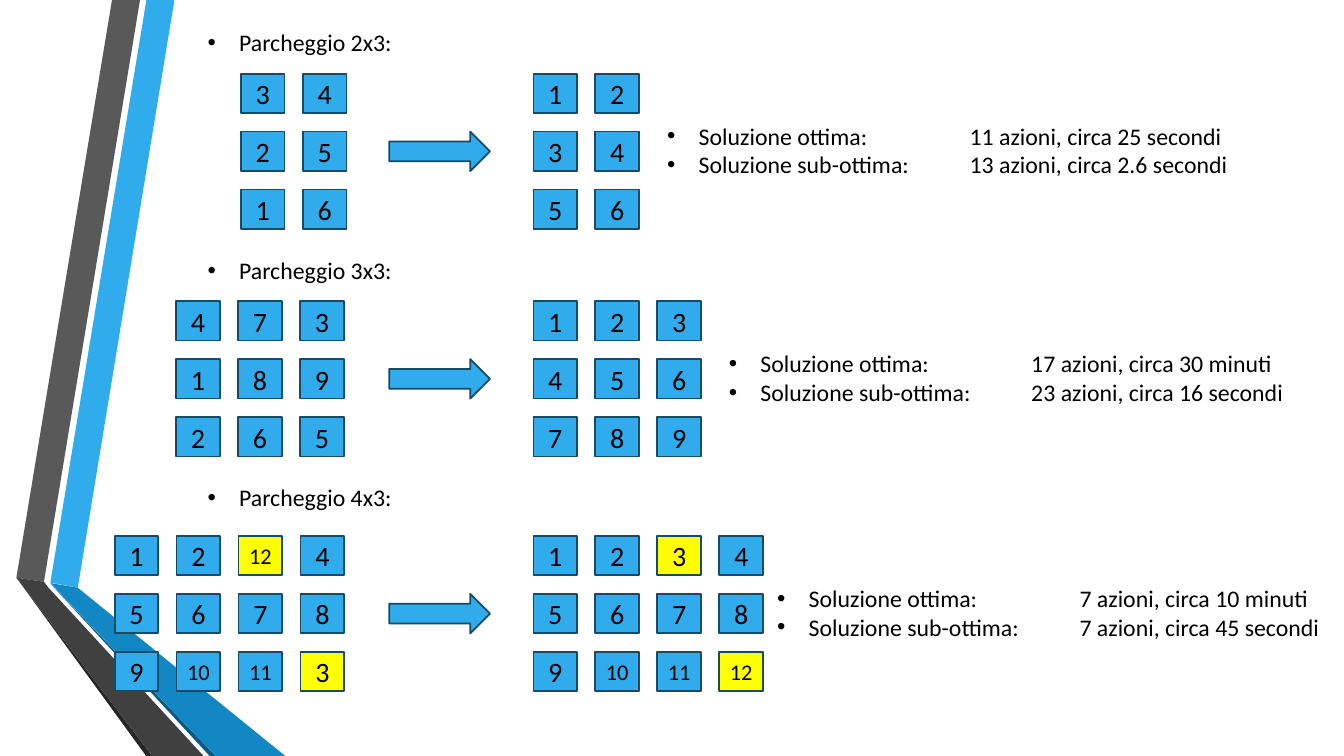
from dataclasses import dataclass

from lxml.etree import SubElement
from pptx import Presentation
from pptx.dml.color import RGBColor
from pptx.enum.shapes import MSO_SHAPE as Shp
from pptx.enum.text import MSO_ANCHOR as Anchor, MSO_AUTO_SIZE as AutoSize, PP_ALIGN as Align
from pptx.oxml.ns import qn
from pptx.shapes.autoshape import Shape
from pptx.slide import Slide
from pptx.text.text import TextFrame
from pptx.util import Pt

COLORS = {
    "blue": "30ACEC", "outline": "154B67", "yellow": "FFFF00", "text": "000000",
    "gray": "595959", "dark": "262626", "navy": "0C5A82", "deep": "1287C3",
    "charcoal": "404040",
}
FONT = "Calibri"
SLIDE_W, SLIDE_H = 960, 540
CELL_W, CELL_H = 31.2, 28.2
STEP_X, STEP_Y = 44.25, 41.4
GOAL_X, ARROW_X, ARROW_W = 381, 278, 72
HEADING_X, HEADING_W, HEADING_H = 141.2, 643, 28
LIST_W, LIST_H, LIST_DROP = 467, 48.3, 30.5
INDENT, TAB = 22.5, 216


@dataclass
class Band:
    color: str
    points: list[tuple[float, float]]


@dataclass
class Parking:
    heading: str
    heading_y: float
    top: float
    start_x: float
    start: list[list[int]]
    goal: list[list[int]]
    list_x: float
    solutions: list[str]
    swapped: tuple[int, ...] = ()


BANDS = [
    Band("blue", [(36, 416.2), (55.6, 419.8), (124.6, 0), (104.6, 0)]),
    Band("gray", [(100, 0), (80, 0), (11.7, 412.6), (31.4, 415.6)]),
    Band("dark", [(11.7, 412.6), (104.4, 540), (108.7, 540)]),
    Band("navy", [(36, 416.9), (149.8, 540), (154.1, 540)]),
    Band("deep", [(36, 416.5), (154.1, 540), (203.8, 540), (55.6, 419.8)]),
    Band("charcoal", [(145.4, 540), (34.6, 419.8), (31.4, 415.6), (11.7, 412.6), (108.7, 540)]),
]


def ordered(cols: int) -> list[list[int]]:
    return [[row * cols + col + 1 for col in range(cols)] for row in range(3)]


PARKINGS = [
    Parking("Parcheggio 2x3:", 16.6, 52.6, 172.1, [[3, 4], [2, 5], [1, 6]], ordered(2), 469.4,
            ["Soluzione ottima:\t11 azioni, circa 25 secondi",
             "Soluzione sub-ottima:\t13 azioni, circa 2.6 secondi"]),
    Parking("Parcheggio 3x3:", 179.3, 215.1, 125.8, [[4, 7, 3], [1, 8, 9], [2, 6, 5]], ordered(3),
            513.4,
            ["Soluzione ottima:\t17 azioni, circa 30 minuti",
             "Soluzione sub-ottima:\t23 azioni, circa 16 secondi"]),
    Parking("Parcheggio 4x3:", 341.3, 382.8, 81.9,
            [[1, 2, 12, 4], [5, 6, 7, 8], [9, 10, 11, 3]], ordered(4), 547.9,
            ["Soluzione ottima:\t7 azioni, circa 10 minuti",
             "Soluzione sub-ottima:\t7 azioni, circa 45 secondi"], (3, 12)),
]


def rgb(name: str) -> RGBColor:
    return RGBColor.from_string(COLORS[name])


def paint(s: Shape, color: str, outlined: bool = True) -> None:
    s.shadow.inherit = False
    s.fill.solid()
    s.fill.fore_color.rgb = rgb(color)
    if outlined:
        s.line.color.rgb = rgb("outline")
        s.line.width = Pt(1.25)
    else:
        s.line.fill.background()


def format_runs(tf: TextFrame, size: float) -> None:
    for p in tf.paragraphs:
        for r in p.runs:
            r.font.name = FONT
            r.font.size = Pt(size)
            r.font.bold = False
            r.font.color.rgb = rgb("text")


def draw_band(slide: Slide, band: Band) -> None:
    points = [(Pt(x), Pt(y)) for x, y in band.points]
    builder = slide.shapes.build_freeform(*points[0])
    builder.add_line_segments(points[1:], close=True)
    paint(builder.convert_to_shape(), band.color, outlined=False)


def fill_list(tf: TextFrame, items: list[str]) -> None:
    tf.text = "\n".join(items)
    tf.word_wrap = True
    tf.auto_size = AutoSize.SHAPE_TO_FIT_TEXT
    tf.vertical_anchor = Anchor.TOP
    for p in tf.paragraphs:
        props = p._p.get_or_add_pPr()
        props.set("marL", str(Pt(INDENT)))
        props.set("indent", str(-Pt(INDENT)))
        SubElement(props, qn("a:buFont"), typeface="Arial")
        SubElement(props, qn("a:buChar"), char="•")
        tabs = SubElement(props, qn("a:tabLst"))
        SubElement(tabs, qn("a:tab"), pos=str(Pt(TAB)), algn="l")
        p.space_before = Pt(0)
        p.alignment = Align.LEFT
    format_runs(tf, 17)


def draw_grid(slide: Slide, left: float, top: float, rows: list[list[int]],
              swapped: tuple[int, ...]) -> None:
    for i, row in enumerate(rows):
        for j, car in enumerate(row):
            s = slide.shapes.add_shape(Shp.RECTANGLE, Pt(left + j * STEP_X), Pt(top + i * STEP_Y),
                                       Pt(CELL_W), Pt(CELL_H))
            paint(s, "yellow" if car in swapped else "blue")
            tf = s.text_frame
            tf.text = str(car)
            tf.vertical_anchor = Anchor.MIDDLE
            tf.paragraphs[0].alignment = Align.CENTER
            format_runs(tf, 16 if car > 9 else 20)


def draw_parking(slide: Slide, parking: Parking, body: Shape) -> None:
    box = slide.shapes.add_textbox(Pt(HEADING_X), Pt(parking.heading_y), Pt(HEADING_W),
                                   Pt(HEADING_H))
    fill_list(box.text_frame, [parking.heading])
    draw_grid(slide, parking.start_x, parking.top, parking.start, parking.swapped)
    arrow = slide.shapes.add_shape(Shp.RIGHT_ARROW, Pt(ARROW_X), Pt(parking.top + STEP_Y),
                                   Pt(ARROW_W), Pt(CELL_H))
    paint(arrow, "blue")
    draw_grid(slide, GOAL_X, parking.top, parking.goal, parking.swapped)
    body.left, body.top = Pt(parking.list_x), Pt(parking.top + LIST_DROP)
    body.width, body.height = Pt(min(LIST_W, SLIDE_W - parking.list_x)), Pt(LIST_H)
    fill_list(body.text_frame, parking.solutions)


def main() -> None:
    prs = Presentation()
    prs.slide_width, prs.slide_height = Pt(SLIDE_W), Pt(SLIDE_H)
    slide = prs.slides.add_slide(prs.slide_layouts.get_by_name("Comparison"))
    title, *bodies = slide.placeholders
    for band in BANDS:
        draw_band(slide, band)
    for parking, body in zip(PARKINGS, bodies):
        draw_parking(slide, parking, body)
    for unused in (title, *bodies[len(PARKINGS):]):
        unused.element.getparent().remove(unused.element)
    prs.save("out.pptx")


if __name__ == "__main__":
    main()
